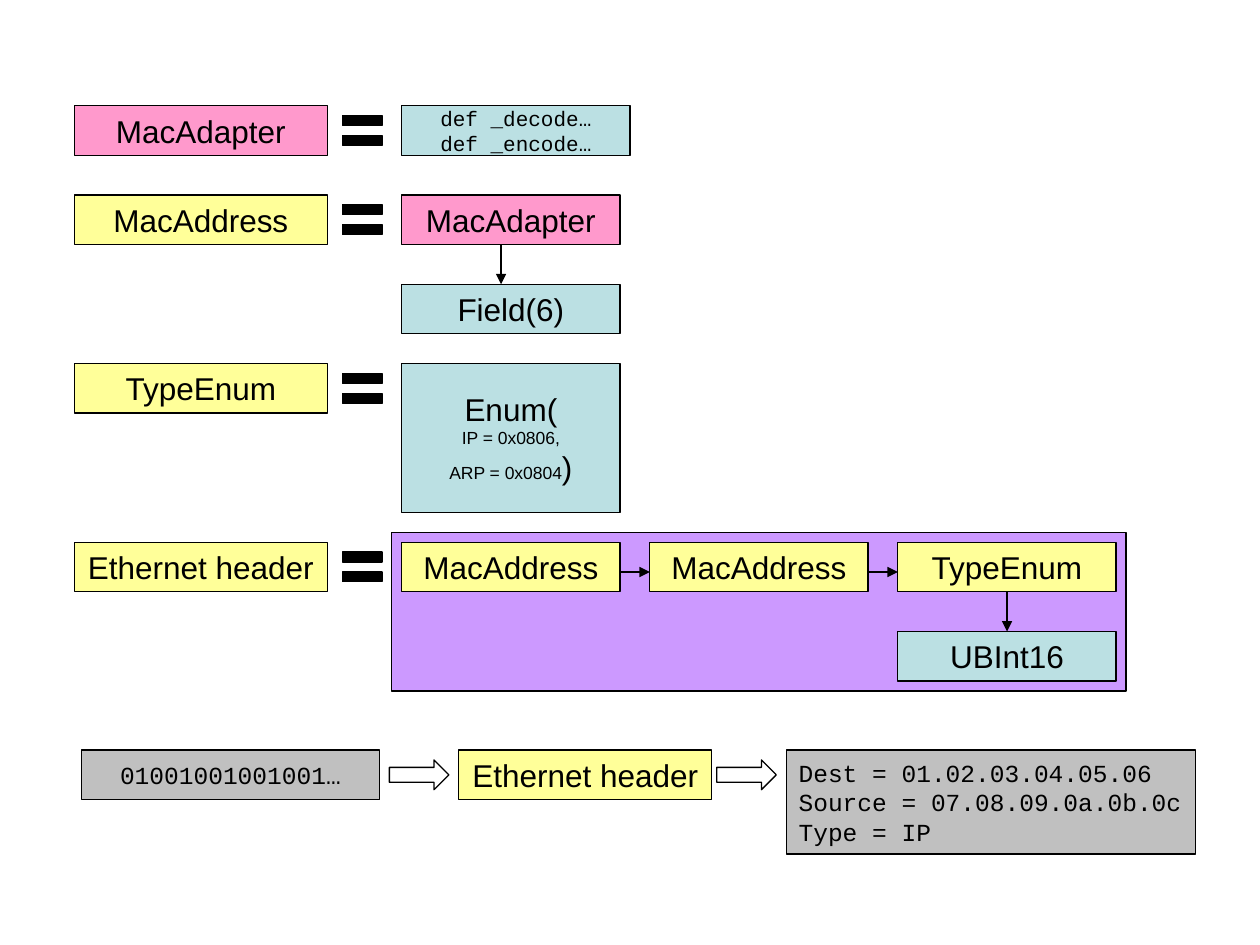
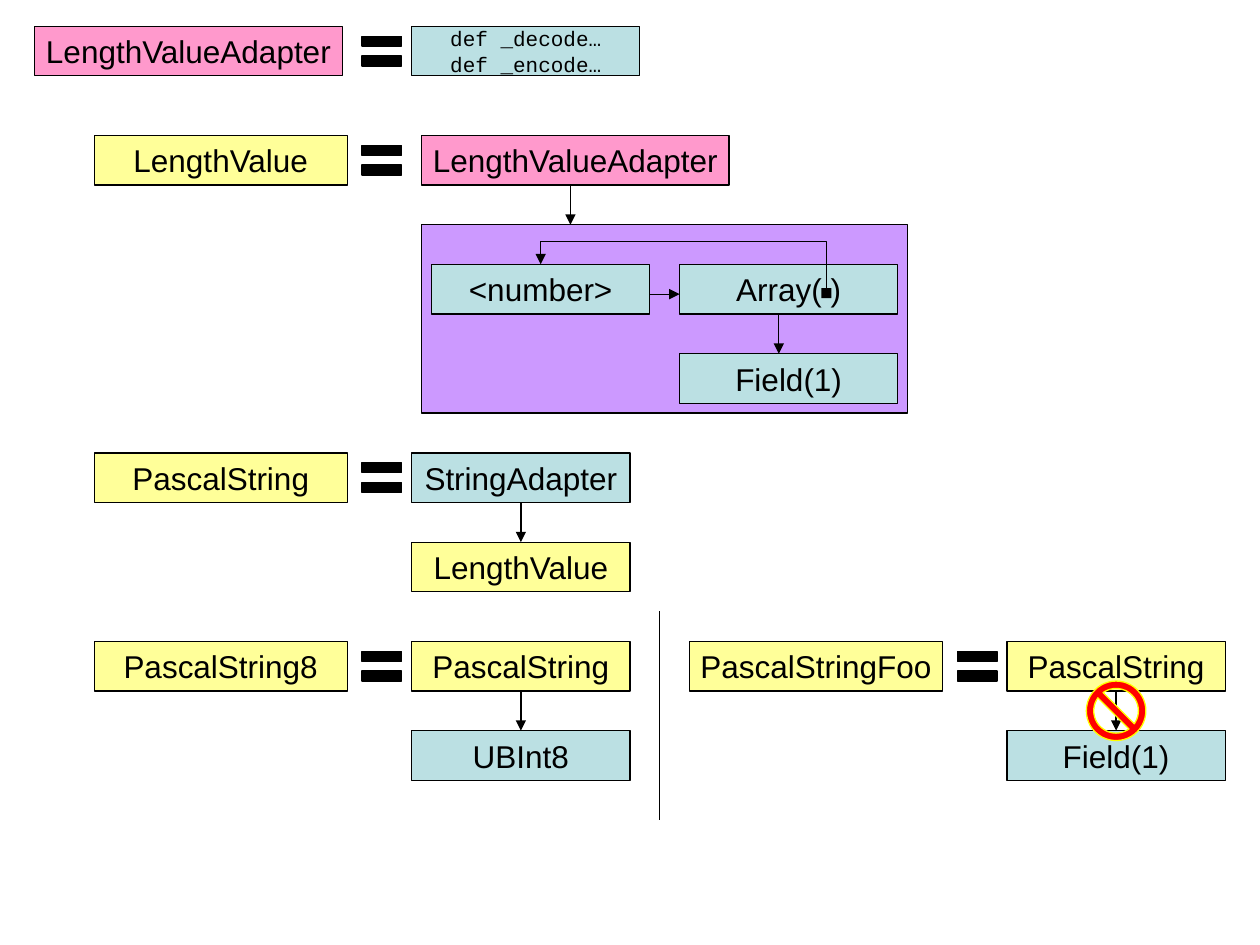
from dataclasses import dataclass

from lxml.etree import SubElement
from pptx import Presentation
from pptx.dml.color import RGBColor
from pptx.enum.shapes import MSO_CONNECTOR, MSO_SHAPE
from pptx.enum.text import MSO_ANCHOR, PP_ALIGN
from pptx.oxml.ns import qn
from pptx.util import Cm, Pt


@dataclass(frozen=True)
class Theme:
    ink: str = "000000"
    paper: str = "FFFFFF"
    named: str = "FFFF99"
    adapter: str = "FF99CC"
    builtin: str = "BBE0E3"
    struct: str = "CC99FF"
    data: str = "C0C0C0"
    forbidden: str = "FF0000"
    halo: str = "FFFF00"
    sans: str = "Arial"
    mono: str = "Courier New"
    label: int = 18
    sample: int = 14
    code: int = 12
    small: int = 10
    outline: float = 0.75


THEME = Theme()
ROW = 1
STEP = 1.8
GAP = 0.6
NAME_WIDTH = 5.1
PART_WIDTH = 4.4
ADAPTER_WIDTH = 6.2
CODE_WIDTH = 4.6
TOP, LEFT, BOTTOM = 0, 1, 2
METHODS = "def _decode…\ndef _encode…"


def color(value):
    return RGBColor.from_string(value)


def add_block(shapes, kind, x, y, width, height, fill, line=THEME.ink):
    block = shapes.add_shape(kind, Cm(x), Cm(y), Cm(width), Cm(height))
    block.shadow.inherit = False
    block.fill.solid()
    block.fill.fore_color.rgb = color(fill)
    block.line.color.rgb = color(line)
    block.line.width = Pt(THEME.outline)
    return block


def style_span(span, size, font):
    span.font.size = Pt(size)
    span.font.name = font
    span.font.color.rgb = color(THEME.ink)


def add_box(page, text, x, y, fill, width=PART_WIDTH, height=ROW,
            size=THEME.label, font=THEME.sans, align=PP_ALIGN.CENTER):
    box = add_block(page.shapes, MSO_SHAPE.RECTANGLE, x, y, width, height, fill)
    frame = box.text_frame
    frame.text = text
    frame.word_wrap = False
    frame.vertical_anchor = MSO_ANCHOR.MIDDLE
    for para in frame.paragraphs:
        para.alignment = align
        for span in para.runs:
            style_span(span, size, font)
    return box


def add_struct(page, x, y, width, height):
    return add_block(page.shapes, MSO_SHAPE.RECTANGLE, x, y, width, height, THEME.struct)


def add_methods(page, x, y):
    add_box(page, METHODS, x, y, THEME.builtin, CODE_WIDTH, size=THEME.code, font=THEME.mono)


def add_equals(page, x, y):
    group = page.shapes.add_group_shape()
    for offset in (0.2, 0.6):
        add_block(group.shapes, MSO_SHAPE.RECTANGLE, x, y + offset, 0.8, 0.2, THEME.ink)


def add_definition(page, name, x, y, equals_x, fill=THEME.named, width=NAME_WIDTH):
    add_box(page, name, x, y, fill, width)
    add_equals(page, equals_x, y)


def add_line(page, x1, y1, x2, y2, kind=MSO_CONNECTOR.STRAIGHT, arrow=True):
    line = page.shapes.add_connector(kind, Cm(x1), Cm(y1), Cm(x2), Cm(y2))
    line.line.color.rgb = color(THEME.ink)
    line.line.width = Pt(THEME.outline)
    properties = line._element.spPr
    if arrow:
        SubElement(properties.find(qn("a:ln")), qn("a:tailEnd"), type="triangle")
    SubElement(properties, qn("a:effectLst"))
    return line


def add_link(page, upper, lower):
    link = add_line(page, 0, 0, 1, 1)
    link.begin_connect(upper, BOTTOM)
    link.end_connect(lower, TOP)


def add_stack(page, x, y, upper, lower, upper_fill, lower_fill):
    top_box = add_box(page, upper, x, y, upper_fill)
    bottom_box = add_box(page, lower, x, y + STEP, lower_fill)
    add_link(page, top_box, bottom_box)


def add_feedback(page, x1, y1, x2, y2, rise):
    width, height = y1 - y2, x1 - x2
    left = (x1 + x2 - width) / 2
    top = (y1 + y2 - height) / 2
    feedback = add_line(page, left, top, left + width, top + height, MSO_CONNECTOR.ELBOW)
    properties = feedback._element.spPr
    transform = properties.find(qn("a:xfrm"))
    transform.set("rot", str(270 * 60000))
    transform.set("flipV", "1")
    geometry = properties.find(qn("a:prstGeom"))
    guides = geometry.find(qn("a:avLst"))
    if guides is None:
        guides = SubElement(geometry, qn("a:avLst"))
    SubElement(guides, qn("a:gd"), name="adj1", fmla=f"val {round(rise / width * 100000)}")


def add_enum(page, x, y):
    box = add_box(page, "Enum(\nIP = 0x0806,\nARP = 0x0804", x, y, THEME.builtin, height=3)
    opening, *members = box.text_frame.paragraphs
    for para in members:
        para.runs[0].font.size = Pt(THEME.small)
    closing = members[-1].add_run()
    closing.text = ")"
    style_span(closing, THEME.label, THEME.sans)


def add_parsing_flow(page, y):
    add_box(page, "01001001001001…", 1.65, y, THEME.data, 6,
            size=THEME.sample, font=THEME.mono)
    add_box(page, "Ethernet header", 9.25, y, THEME.named, NAME_WIDTH)
    add_box(page, "Dest = 01.02.03.04.05.06\nSource = 07.08.09.0a.0b.0c\nType = IP",
            15.85, y, THEME.data, 8.25, 2.1, THEME.sample, THEME.mono, PP_ALIGN.LEFT)
    for x in (7.85, 14.45):
        add_block(page.shapes, MSO_SHAPE.RIGHT_ARROW, x, y + 0.2, 1.2, 0.6, THEME.paper)


def build_ethernet(page):
    name_x, equals_x, part_x = 1.5, 6.9, 8.1
    adapter_y, address_y, enum_y, header_y, flow_y = 2.13, 3.93, 7.33, 10.93, 15.12

    add_definition(page, "MacAdapter", name_x, adapter_y, equals_x, THEME.adapter)
    add_methods(page, part_x, adapter_y)

    add_definition(page, "MacAddress", name_x, address_y, equals_x)
    add_box(page, "MacAdapter", part_x, address_y, THEME.adapter)
    add_box(page, "Field(6)", part_x, address_y + STEP, THEME.builtin)
    add_line(page, part_x + 2, address_y + ROW, part_x + 2, address_y + STEP)

    add_definition(page, "TypeEnum", name_x, enum_y, equals_x)
    add_enum(page, part_x, enum_y)

    add_definition(page, "Ethernet header", name_x, header_y, equals_x)
    add_struct(page, part_x - 0.2, header_y - 0.2, 14.8, 3.2)
    pitch = PART_WIDTH + GAP
    for index in range(2):
        x = part_x + index * pitch
        add_box(page, "MacAddress", x, header_y, THEME.named)
        add_line(page, x + PART_WIDTH, header_y + 0.6, x + pitch, header_y + 0.6)
    add_stack(page, part_x + 2 * pitch, header_y, "TypeEnum", "UBInt16",
              THEME.named, THEME.builtin)

    add_parsing_flow(page, flow_y)


def build_length_value(page, y):
    x = 8.5
    struct_y = y + STEP
    inner_y = struct_y + 0.8
    number_x = x + 0.2
    array_x = number_x + PART_WIDTH + GAP
    add_box(page, "LengthValueAdapter", x, y, THEME.adapter, ADAPTER_WIDTH)
    add_struct(page, x, struct_y, 9.8, 3.8)
    add_line(page, x + 3, y + ROW, x + 3, struct_y)

    add_box(page, "<number>", number_x, inner_y, THEME.builtin)
    add_box(page, "Array( )", array_x, inner_y, THEME.builtin)
    add_box(page, "Field(1)", array_x, inner_y + STEP, THEME.builtin)
    add_line(page, number_x + PART_WIDTH, inner_y + 0.6, array_x, inner_y + 0.6)
    add_line(page, array_x + 2, inner_y + ROW, array_x + 2, inner_y + STEP)

    dot_x, dot_y = array_x + 2.86, inner_y + 0.48
    dot = add_block(page.shapes, MSO_SHAPE.RECTANGLE, dot_x, dot_y, 0.2, 0.2, THEME.ink)
    dot.line.fill.background()
    add_feedback(page, dot_x + 0.1, dot_y, number_x + PART_WIDTH / 2, inner_y, 0.94)


def build_pascal_string(page):
    name_x, equals_x, part_x = 1.9, 7.3, 8.3
    adapter_y, value_y, string_y, variant_y = 0.53, 2.73, 9.13, 12.93
    foo_shift = 12

    add_definition(page, "LengthValueAdapter", 0.7, adapter_y, equals_x,
                   THEME.adapter, ADAPTER_WIDTH)
    add_methods(page, part_x, adapter_y)

    add_definition(page, "LengthValue", name_x, value_y, equals_x)
    build_length_value(page, value_y)

    add_definition(page, "PascalString", name_x, string_y, equals_x)
    add_stack(page, part_x, string_y, "StringAdapter", "LengthValue",
              THEME.builtin, THEME.named)

    for shift, name, length in ((0, "PascalString8", "UBInt8"),
                                (foo_shift, "PascalStringFoo", "Field(1)")):
        add_definition(page, name, name_x + shift, variant_y, equals_x + shift)
        add_stack(page, part_x + shift, variant_y, "PascalString", length,
                  THEME.named, THEME.builtin)

    ban_x = part_x + foo_shift + PART_WIDTH / 2 - 0.6
    ban = add_block(page.shapes, MSO_SHAPE.NO_SYMBOL, ban_x, variant_y + 0.8, 1.2, 1.2,
                    THEME.forbidden, THEME.halo)
    ban.adjustments[0] = 0.125
    add_line(page, 13.3, 12.32, 13.3, 16.53, arrow=False)


def main():
    deck = Presentation()
    deck.slide_width, deck.slide_height = Cm(25.4), Cm(19.05)
    blank = deck.slide_layouts[6]
    for build in (build_ethernet, build_pascal_string):
        build(deck.slides.add_slide(blank))
    deck.save("out.pptx")


if __name__ == "__main__":
    main()
